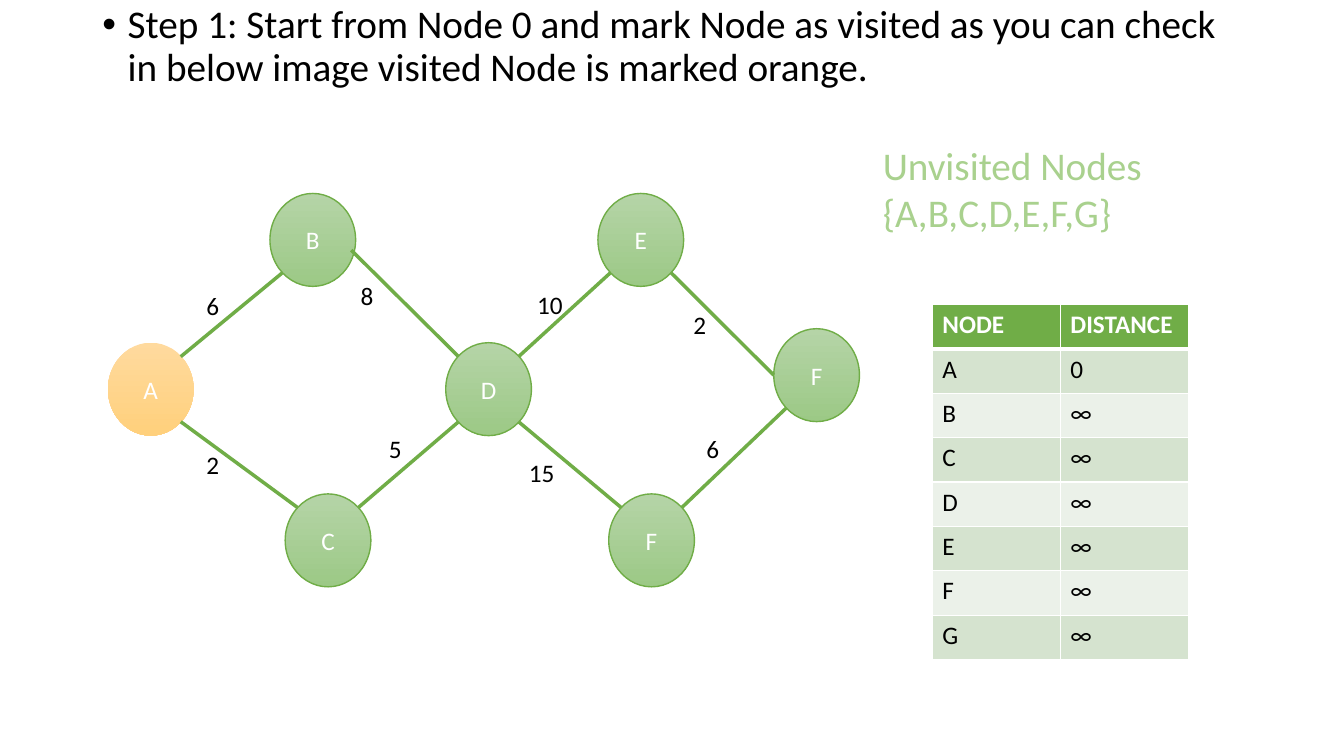
from lxml import etree
from pptx import Presentation
from pptx.dml.color import RGBColor
from pptx.enum import shapes, text
from pptx.oxml import ns
from pptx.util import Pt

HUES = {"green": "70AD47", "pale": "A9D18E", "black": "000000", "white": "FFFFFF",
        "odd": "D5E3CF", "even": "EBF1E9"}
FADES = {"open": ("B5D4A7", "9CC986"), "seen": ("FFDA9E", "FFD07C")}
WIDE, HIGH = 61.2, 66.4  # node size
DIAG = 0.35              # offset of a diagonal point on a node's rim


class Board:
    """Holds the style and the current slide."""
    face = "Calibri"

    def __init__(self, slide):
        self.slide = slide
        self.items = slide.shapes

    def hue(self, name):
        return RGBColor.from_string(HUES[name])

    def font(self, para, size=18, hue="black", bold=False):
        font = para.font
        font.name, font.size, font.bold = self.face, Pt(size), bold
        font.color.rgb = self.hue(hue)

    def bullet(self, words, x, y, w, h):
        body = self.slide.placeholders[1]
        body.left, body.top, body.width, body.height = map(Pt, (x, y, w, h))
        body.text_frame.text = words
        para = body.text_frame.paragraphs[0]
        para.line_spacing, para.space_before = 0.9, Pt(10)
        self.font(para, 28)
        props = para._p.get_or_add_pPr()
        props.set("marL", str(Pt(18)))
        props.set("indent", str(-Pt(18)))

    def label(self, lines, x, y, w=83.5, h=29, size=18, hue="black"):
        box = self.items.add_textbox(*map(Pt, (x, y, w, h)))
        box.text_frame.word_wrap = True
        box.text_frame.text = lines
        for para in box.text_frame.paragraphs:
            self.font(para, size, hue)

    def node(self, name, x, y, seen=False):
        oval = self.items.add_shape(shapes.MSO_SHAPE.OVAL, *map(Pt, (x, y, WIDE, HIGH)))
        oval.shadow.inherit = False
        oval.fill.gradient()
        oval.fill.gradient_angle = 270
        for stop, shade in zip(oval.fill.gradient_stops, FADES["seen" if seen else "open"]):
            stop.color.rgb = RGBColor.from_string(shade)
        if seen:
            oval.line.fill.background()
        else:
            oval.line.color.rgb = self.hue("green")
            oval.line.width = Pt(1)
        frame = oval.text_frame
        frame.text = name
        frame.vertical_anchor = text.MSO_ANCHOR.MIDDLE
        para = frame.paragraphs[0]
        para.alignment = text.PP_ALIGN.CENTER
        self.font(para, hue="white")

    def edge(self, start, end):
        line = self.items.add_connector(shapes.MSO_CONNECTOR.STRAIGHT,
                                        *map(Pt, (*start, *end)))
        line.line.color.rgb = self.hue("green")
        line.line.width = Pt(2.5)
        etree.SubElement(line._element.spPr, ns.qn("a:effectLst"))

    def border(self, cell, side, width):
        props = cell._tc.get_or_add_tcPr()
        line = etree.SubElement(props, ns.qn("a:ln" + side), w=str(Pt(width)))
        fill = etree.SubElement(line, ns.qn("a:solidFill"))
        etree.SubElement(fill, ns.qn("a:srgbClr"), val=HUES["white"])

    def table(self, rows, x, y, wide, high):
        count = len(rows[0])
        size = (wide * count, high * len(rows))
        grid = self.items.add_table(len(rows), count, *map(Pt, (x, y, *size))).table
        for i, row in enumerate(rows):
            head = i == 0
            for j, words in enumerate(row):
                cell = grid.cell(i, j)
                cell.text = words
                self.font(cell.text_frame.paragraphs[0],
                          hue="white" if head else "black", bold=head)
                for side in "LRTB":
                    thick = (head and side == "B") or (i == 1 and side == "T")
                    self.border(cell, side, 3 if thick else 0.96)
                cell.fill.solid()
                cell.fill.fore_color.rgb = self.hue(
                    "green" if head else "odd" if i % 2 else "even")


# Graph: key -> (name, left, top); the two F nodes have their own keys
NODES = {"B": ("B", 192.8, 138.2), "A": ("A", 77.1, 244.8), "C": ("C", 203.7, 352.8),
         "D": ("D", 318.4, 244.8), "low": ("F", 434.8, 352.8),
         "E": ("E", 427.1, 138.2), "end": ("F", 552.7, 234.8)}
NE, SE, SW, NW = (DIAG, -DIAG), (DIAG, DIAG), (-DIAG, DIAG), (-DIAG, -DIAG)
WEST, EAST = (-0.5, 0), (0.45, 0.11)
EDGES = [("A", NE, "B", SW), ("low", NE, "end", SW), ("C", NE, "D", SW),
         ("D", NE, "E", SW), ("B", EAST, "D", NW), ("D", SE, "low", NW),
         ("E", SE, "end", WEST), ("A", SE, "C", NW)]
COSTS = [("6", 497.5, 306), ("10", 376.6, 203), ("15", 370.8, 323.3), ("2", 140.4, 317.5),
         ("2", 488.2, 217.4), ("6", 140.4, 203.8), ("5", 270.7, 306), ("8", 250.6, 196.6)]


def rim(key, side):
    _, x, y = NODES[key]
    return x + WIDE * (0.5 + side[0]), y + HIGH * (0.5 + side[1])


def main():
    deck = Presentation()
    deck.slide_width, deck.slide_height = Pt(960), Pt(540)
    slide = deck.slides.add_slide(deck.slide_layouts[1])
    title = slide.shapes.title._element
    title.getparent().remove(title)
    board = Board(slide)

    # Step text
    board.bullet("Step 1: Start from Node 0 and mark Node as visited as you can check "
                 "in below image visited Node is marked orange.", 66, 0, 828, 486.7)

    # Graph
    for key, (name, x, y) in NODES.items():
        board.node(name, x, y, seen=key == "A")
    for start, out, end, into in EDGES:
        board.edge(rim(start, out), rim(end, into))
    for cost in COSTS:
        board.label(*cost)

    # Unvisited nodes and distances
    board.label("Unvisited Nodes\n{A,B,C,D,E,F,G}", 623.5, 97.2, 311.8, 389.5, 28, "pale")
    rows = [("NODE", "DISTANCE")] + [(n, "0" if n == "A" else "∞") for n in "ABCDEFG"]
    board.table(rows, 666, 217.6, 91.4, 31.7)
    deck.save("out.pptx")


if __name__ == "__main__":
    main()
